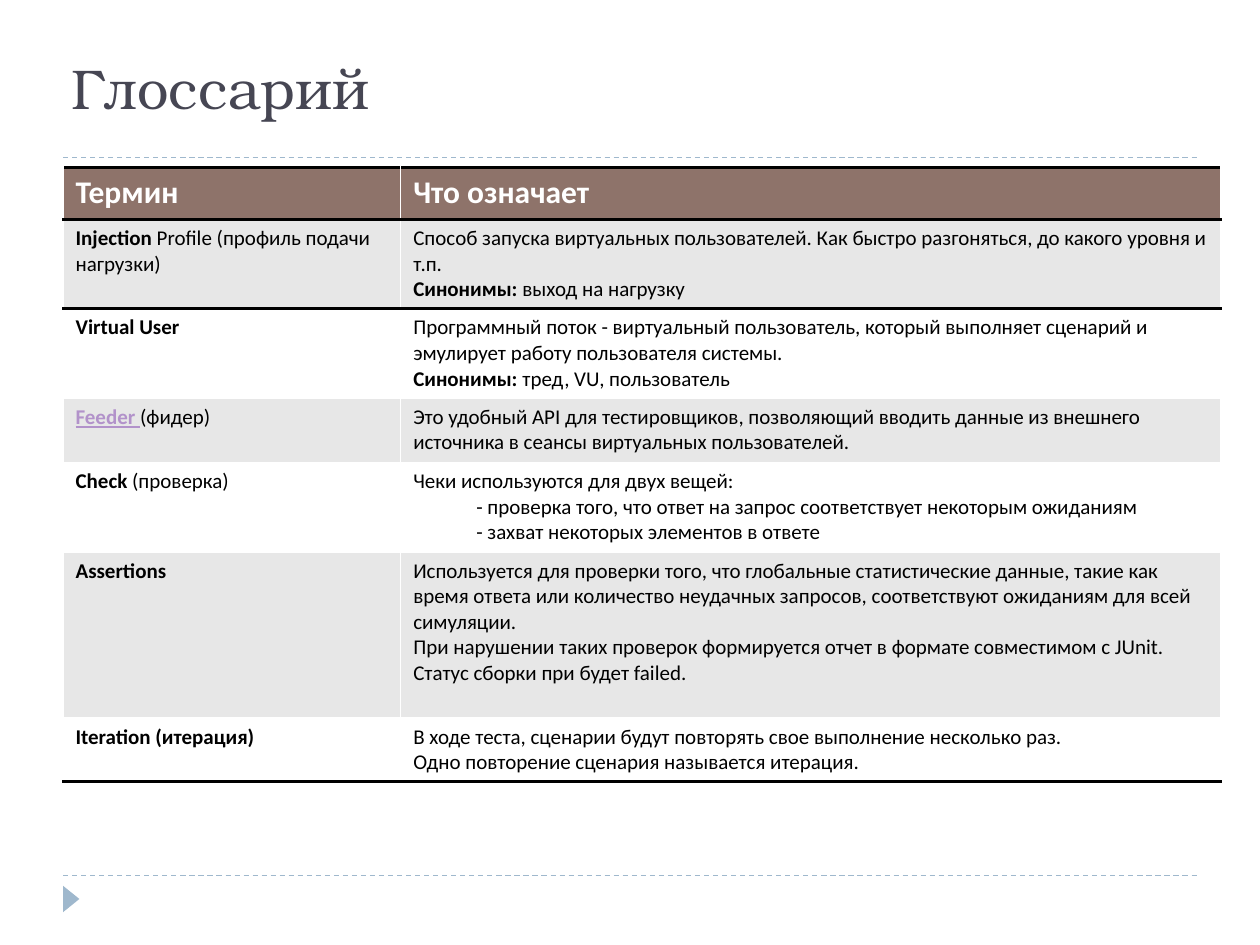
from dataclasses import dataclass

from lxml import etree
from pptx import Presentation
from pptx import util as u
from pptx.dml.color import RGBColor
from pptx.enum import dml, shapes, text
from pptx.oxml import ns


@dataclass(frozen=True)
class Theme:
    """Colours, fonts and type sizes of the slide."""
    title: str = "464653"
    accent: str = "9FB8CD"
    head: str = "8E736A"
    band: str = "E7E7E7"
    white: str = "FFFFFF"
    black: str = "000000"
    link: str = "B292CA"
    serif: str = "TeX Gyre Bonum"
    sans: str = "Calibri"
    big: int = 32
    mid: int = 18
    small: int = 12


def rgb(code):
    """Turn a hex code into a colour."""
    return RGBColor.from_string(code)


def box(*sizes):
    """Turn inch values into lengths."""
    return [u.Inches(size) for size in sizes]


class Deck:
    """Draws elements on one slide in one style."""

    def __init__(self, theme):
        self.theme = theme
        self.prs = Presentation()
        self.prs.slide_width, self.prs.slide_height = box(10, 7.5)
        self.slide = self.prs.slides.add_slide(self.prs.slide_layouts[5])

    def font(self, font, name, size, color):
        """Style a font."""
        font.name, font.size = name, u.Pt(size)
        font.color.rgb = rgb(color)

    def rule(self, left, right, top):
        """Add a dashed horizontal rule."""
        line = self.slide.shapes.add_connector(
            shapes.MSO_CONNECTOR.STRAIGHT, *box(left, top, right, top))
        line.line.color.rgb = rgb(self.theme.accent)
        line.line.width = u.Pt(0.75)
        line.line.dash_style = dml.MSO_LINE.DASH
        etree.SubElement(line._element.spPr, ns.qn("a:effectLst"))

    def arrow(self, *place):
        """Add a triangle that points right."""
        mark = self.slide.shapes.add_shape(
            shapes.MSO_SHAPE.ISOSCELES_TRIANGLE, *box(*place))
        mark.rotation = 90
        mark.shadow.inherit = False
        mark.fill.solid()
        mark.fill.fore_color.rgb = rgb(self.theme.accent)
        mark.line.fill.background()

    def title(self, words, *place):
        """Fill and place the title."""
        head = self.slide.shapes.title
        head.left, head.top, head.width, head.height = box(*place)
        frame = head.text_frame
        frame.text = words
        frame.vertical_anchor = text.MSO_ANCHOR.BOTTOM
        para = frame.paragraphs[0]
        para.alignment = text.PP_ALIGN.LEFT
        self.font(para.font, self.theme.serif, self.theme.big, self.theme.title)

    def border(self, cell, *sides):
        """Draw heavy borders on the named cell sides."""
        props = cell._tc.get_or_add_tcPr()
        for spot, side in enumerate(sides):
            line = etree.Element(ns.qn(f"a:ln{side}"), w=str(u.Pt(2)))
            fill = etree.SubElement(line, ns.qn("a:solidFill"))
            etree.SubElement(fill, ns.qn("a:srgbClr"), val=self.theme.black)
            props.insert(spot, line)

    def label(self, cell, lines, size, color):
        """Fill a cell: *bold*, a leading tab indents, ~ marks a link."""
        frame = cell.text_frame
        for spot, line in enumerate(lines.split("\n")):
            para = frame.add_paragraph() if spot else frame.paragraphs[0]
            self.font(para.font, self.theme.sans, size, color)
            if line.startswith("\t"):
                para.level = 1
                para._p.get_or_add_pPr().set("marL", str(u.Inches(0.5)))
            for turn, part in enumerate(line.strip("\t").split("*")):
                if not part:
                    continue
                run = para.add_run()
                run.text = part.lstrip("~")
                run.font.bold = turn % 2 == 1
                if part.startswith("~"):
                    run.font.underline = True
                    run.font.color.rgb = rgb(self.theme.link)

    def table(self, rows, highs, wides, left, top):
        """Add a banded table with a heavy frame above and below."""
        look = self.theme
        grid = self.slide.shapes.add_table(
            len(rows), len(wides), *box(left, top, sum(wides), sum(highs))).table
        grid.first_row = grid.horz_banding = False
        for col, wide in zip(grid.columns, wides):
            col.width = u.Inches(wide)
        for row, (words, high) in enumerate(zip(rows, highs)):
            grid.rows[row].height = u.Inches(high)
            fill = look.band if row % 2 else look.white
            size, color = look.small, look.black
            if row == 0:
                fill, size, color = look.head, look.mid, look.white
            for cell, lines in zip(grid.rows[row].cells, words):
                cell.fill.solid()
                cell.fill.fore_color.rgb = rgb(fill)
                self.label(cell, lines, size, color)
                if row == 0:
                    self.border(cell, "T", "B")
                elif row == 1:
                    self.border(cell, "T")
                elif row == len(rows) - 1:
                    self.border(cell, "B")


ROWS = [
    ("*Термин*", "*Что означает*"),
    ("*Injection* Profile (профиль подачи нагрузки)",
     "Способ запуска виртуальных пользователей. Как быстро разгоняться, "
     "до какого уровня и т.п.\n*Синонимы: *выход на нагрузку"),
    ("*Virtual User*",
     "Программный поток - виртуальный пользователь, который выполняет сценарий "
     "и эмулирует работу пользователя системы.\n"
     "*Синонимы: *тред, VU, пользователь"),
    ("*~Feeder *(фидер)",
     "Это удобный API для тестировщиков, позволяющий вводить данные из внешнего "
     "источника в сеансы виртуальных пользователей."),
    ("*Check *(проверка)",
     "Чеки используются для двух вещей:\n"
     "\t- проверка того, что ответ на запрос соответствует некоторым ожиданиям\n"
     "\t- захват некоторых элементов в ответе"),
    ("*Assertions*",
     "Используется для проверки того, что глобальные статистические данные, "
     "такие как время ответа или количество неудачных запросов, соответствуют "
     "ожиданиям для всей симуляции.\n"
     "При нарушении таких проверок формируется отчет в формате совместимом "
     "с JUnit.\nСтатус сборки при будет failed."),
    ("*Iteration (итерация)*",
     "В ходе теста, сценарии будут повторять свое выполнение несколько раз.\n"
     "Одно повторение сценария называется итерация."),
]
HIGHS = [0.41, 0.71, 0.71, 0.51, 0.71, 1.32, 0.5]


def main():
    """Build the glossary slide."""
    deck = Deck(Theme())
    for top in (6.95, 1.25):
        deck.rule(0.5, 9.5, top)
    deck.arrow(0.46, 7.07, 0.21, 0.13)
    deck.title("Глоссарий", 0.47, 0.23, 9, 0.78)
    deck.table(ROWS, HIGHS, (2.68, 6.51), 0.5, 1.33)
    deck.prs.save("out.pptx")


if __name__ == "__main__":
    main()
